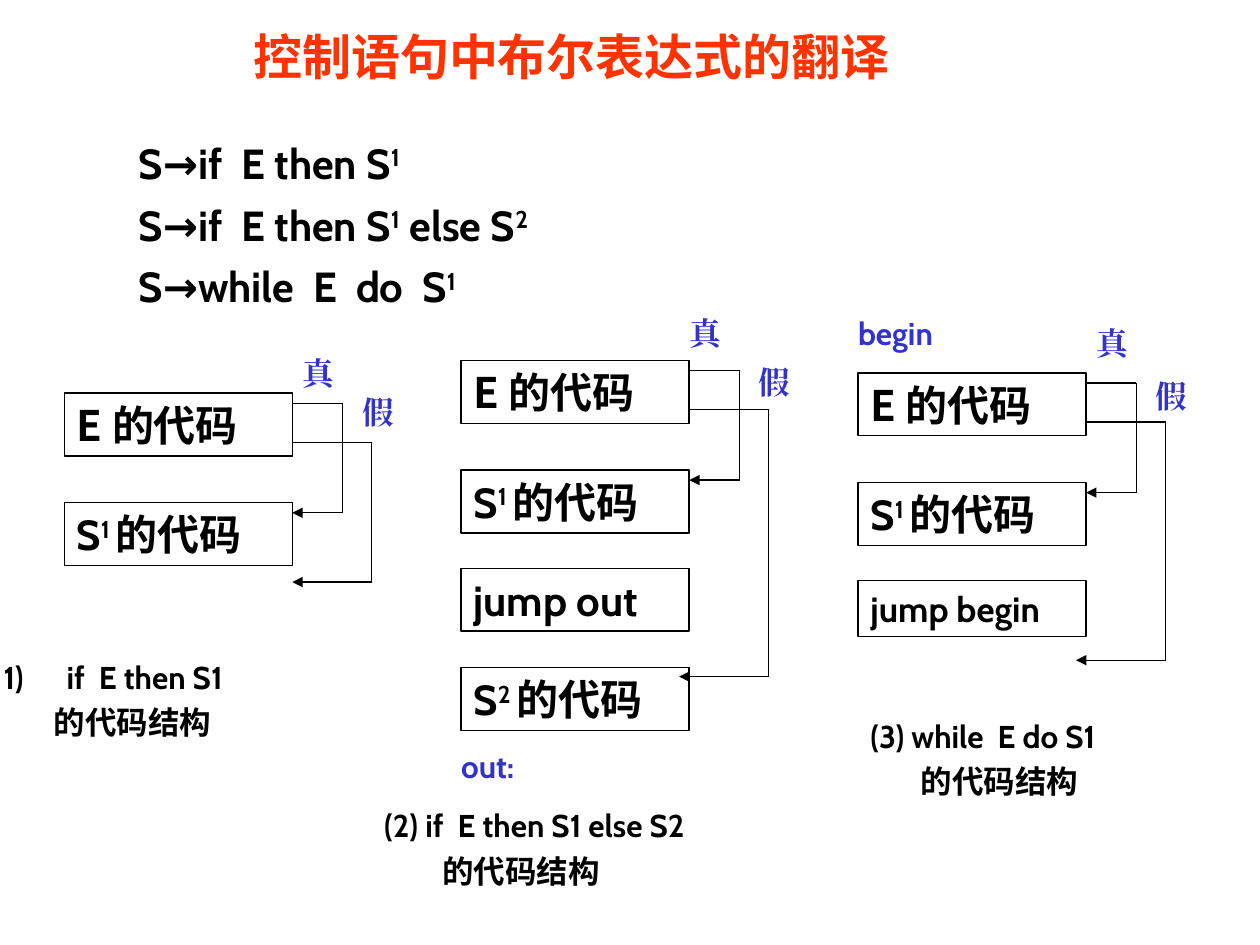
from itertools import pairwise
from pptx import Presentation
from pptx import util as u
from pptx.dml import color
from pptx.enum import shapes, text
from pptx.oxml import ns
from lxml import etree

deck = Presentation()
deck.slide_width, deck.slide_height = u.Inches(10), u.Inches(7.5)
slide = deck.slides.add_slide(deck.slide_layouts[6])
CELL = deck.slide_width / 10  # ten columns, seven and a half rows
LATIN, HAN, SERIF = "Cabin", "Noto Sans CJK SC", "Times New Roman"
BLACK, BLUE, RED = "000000", "3333CC", "FF3300"


def grid(*cells):
    """Turn grid cells into slide lengths."""
    return [round(c * CELL) for c in cells]


def paint(target, hue):
    """Give a font or line a solid colour."""
    fill = target.fill
    fill.solid()
    fill.fore_color.rgb = color.RGBColor.from_string(hue)


def tag(parent, name, **attrs):
    """Append a drawing element."""
    return etree.SubElement(parent, ns.qn("a:" + name), **attrs)


def write(frame, lines, size, font=LATIN, hue=BLACK, inset=(0, 0), gap=0):
    """Fill a frame; every second part split by | is superscript."""
    frame.word_wrap = True
    frame.vertical_anchor = text.MSO_ANCHOR.TOP
    frame.margin_left, frame.margin_top = grid(*inset)
    frame.margin_right, frame.margin_bottom = grid(*inset)
    for i, line in enumerate(lines):
        para = frame.paragraphs[0] if i == 0 else frame.add_paragraph()
        para.alignment = text.PP_ALIGN.LEFT
        para.space_before = u.Pt(gap if i else 0)
        para.font.size, para.font.bold = u.Pt(size), True
        for j, part in enumerate(line.split("|")):
            run = para.add_run()
            run.text, run.font.name = part, font
            paint(run.font, hue)
            props = run.font._element
            props.find(ns.qn("a:latin")).addnext(tag(props, "ea", typeface=font))
            if j % 2:
                props.set("baseline", "30000")
    return frame.paragraphs


def label(box, lines, size, **style):
    """Place a plain text box."""
    return write(slide.shapes.add_textbox(*grid(*box)).text_frame, lines, size, **style)


def dent(para, left, first=0):
    """Set left and first-line indents."""
    props = para._p.get_or_add_pPr()
    left, first = grid(left, first)
    props.set("marL", str(left))
    props.set("indent", str(first))
    return props


def block(box, words, size=24):
    """Draw one outlined code block."""
    shape = slide.shapes.add_shape(shapes.MSO_SHAPE.RECTANGLE, *grid(*box))
    shape.shadow.inherit = False
    shape.fill.background()
    paint(shape.line, BLACK)
    shape.line.width = u.Pt(0.74)
    para, = write(shape.text_frame, [words], size, inset=(0.1, 0.05))
    if "的" in words:
        para.runs[-1].font.name = HAN


def route(points):
    """Join points by lines, with an arrowhead on the last."""
    for start, end in pairwise(points):
        line = slide.shapes.add_connector(shapes.MSO_CONNECTOR.STRAIGHT, *grid(*start, *end))
        paint(line.line, BLACK)
        line.line.width = u.Pt(0.74)
        if end == points[-1]:
            tag(line.line._ln, "tailEnd", type="triangle")
        tag(line._element.spPr, "effectLst")


def flow(x, y, rest, stop, back, true, false):
    """Draw a code layout: E, S1, further blocks and both exits."""
    wide, high, step = 1.81, 0.5, 0.87
    edge = x + wide
    block((x, y, wide, high), "E 的代码")
    block((x, y + step, wide, high), "S|1 |的代码")
    for drop, tall, words, size in rest:
        block((x, y + drop, wide, tall), words, size)
    for top, out, end, tip in ((0.08, 0.4, step + 0.08, 0), (0.39, 0.63, stop, back)):
        route([(edge, y + top), (edge + out, y + top),
               (edge + out, y + end), (edge - tip, y + end)])
    for word, (dx, dy) in (("真", true), ("假", false)):
        label((edge + dx, y + dy, 0.25, 0.3), [word], 18, font=SERIF, hue=BLUE)


def note(box, head, left, number=False):
    """Place a two-line caption, numbered on request."""
    first, second = label(box, [head, "的代码结构"], 18, inset=(0.1, 0.05), gap=4.5)
    props = dent(first, 0.5, -0.5)
    if number:
        last = props.find(ns.qn("a:defRPr"))
        last.addprevious(tag(props, "buFont", typeface=LATIN))
        last.addprevious(tag(props, "buAutoNum", type="arabicParenR"))
    dent(second, left)


def head():
    """Place the title and the grammar rules."""
    title, = label((0.2, 0.21, 8.67, 0.5), ["控制语句中布尔表达式的翻译"], 28, font=HAN, hue=RED)
    title.alignment = text.PP_ALIGN.CENTER
    rules = ["S→if  E then S|1", "S→if  E then S|1| else S|2", "S→while  E  do  S|1"]
    for para in label((0, 0.91, 6.89, 1.73), rules, 24, inset=(0, 0.18), gap=6.5):
        dent(para, 1.1)


head()
flow(3.66, 2.86, [(1.65, 0.5, "jump out", 24), (2.44, 0.5, "S|2 |的代码", 24)],
     2.51, 0.08, (0, -0.37), (0.55, 0.02))
label((3.66, 5.93, 0.63, 0.3), ["out:"], 18, hue=BLUE)
flow(6.81, 2.96, [(1.65, 0.44, "jump begin", 20)], 2.28, 0.08, (0.08, -0.39), (0.55, 0.03))
label((6.81, 2.49, 0.71, 0.3), ["begin"], 18, hue=BLUE)
flow(0.51, 3.12, [], 1.5, 0, (0.08, -0.31), (0.56, 0))
note((-0.07, 5.17, 2.9, 0.77), "if  E then S1", 0.4, number=True)
note((2.95, 6.35, 3.78, 0.77), "(2) if  E then S1 else S2", 0.46)
note((6.81, 5.64, 2.6, 0.77), "(3) while  E do S1", 0.4)
deck.save("out.pptx")
